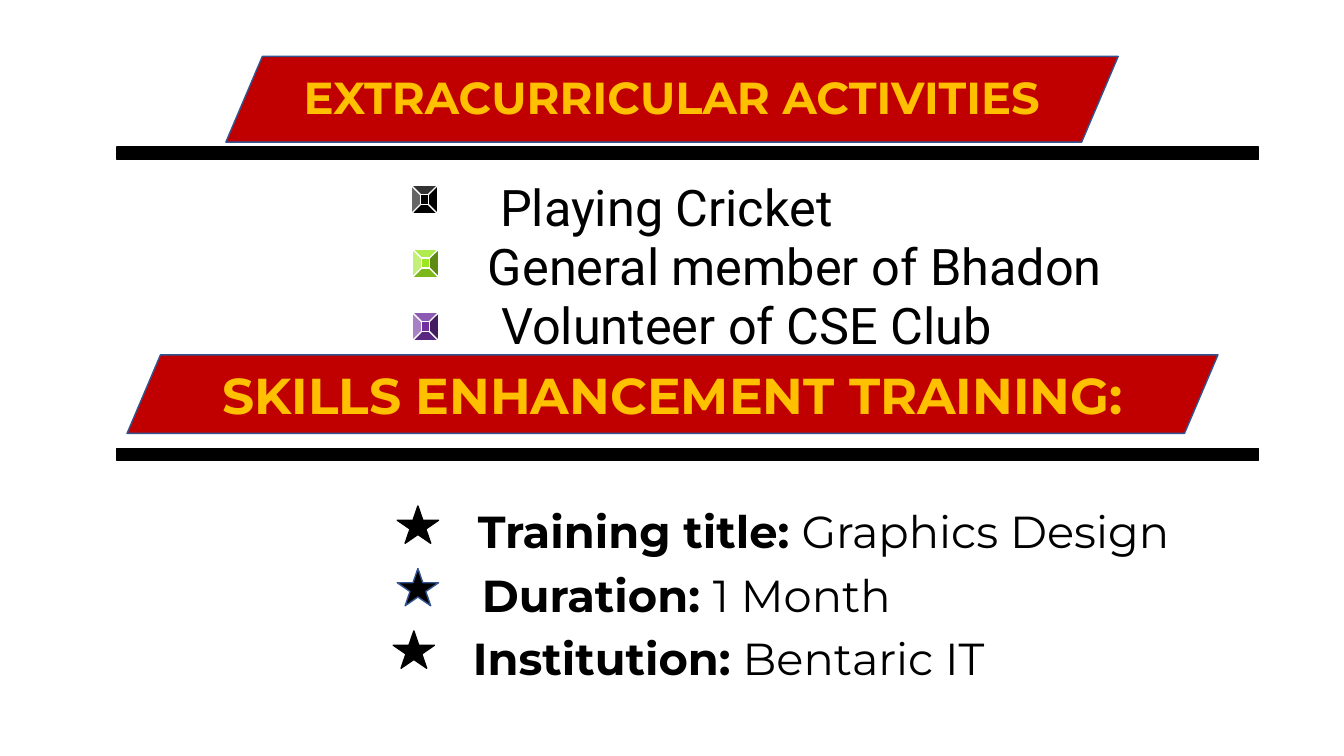
from pptx import Presentation
from pptx.dml.color import RGBColor
from pptx.enum.shapes import MSO_SHAPE
from pptx.enum.text import MSO_ANCHOR, PP_ALIGN
from pptx.util import Inches, Pt

COLORS = {"red": "C00000", "gold": "FFC000", "black": "000000", "white": "FFFFFF",
          "navy": "325491", "green": "9CE721", "purple": "7030A0"}


def color(name):
    return RGBColor.from_string(COLORS[name])


def add_figure(page, kind, left, top, width, height, fill, line, adjust=None):
    figure = page.shapes.add_shape(kind, Inches(left), Inches(top), Inches(width), Inches(height))
    figure.shadow.inherit = False
    figure.fill.solid()
    figure.fill.fore_color.rgb = color(fill)
    figure.line.color.rgb = color(line)
    figure.line.width = Pt(1)
    if adjust is not None:
        figure.adjustments[0] = adjust
    return figure


def style_span(span, font, size, fill, bold):
    span.font.name = font
    span.font.size = Pt(size)
    span.font.bold = bold
    span.font.color.rgb = color(fill)


def add_banner(page, left, top, width, height, title, size, bottom_inset):
    banner = add_figure(page, MSO_SHAPE.PARALLELOGRAM, left, top, width, height,
                        "red", "navy", 0.426)
    frame = banner.text_frame
    frame.text = title
    frame.word_wrap = False
    frame.vertical_anchor = MSO_ANCHOR.MIDDLE
    frame.margin_top = 0
    frame.margin_bottom = Inches(bottom_inset)
    para = frame.paragraphs[0]
    para.alignment = PP_ALIGN.CENTER
    style_span(para.runs[0], "Montserrat", size, "gold", True)


def add_rule(page, top):
    add_figure(page, MSO_SHAPE.RECTANGLE, 1.16, top, 11.32, 0.12, "black", "black")


def add_lines(page, left, top, lines, font, size, pitch):
    """Each line is (indent, [(wording, bold), ...])."""
    box = page.shapes.add_textbox(Inches(left), Inches(top), Inches(8), Pt(pitch * len(lines)))
    frame = box.text_frame
    frame.word_wrap = True
    frame.margin_left = frame.margin_right = frame.margin_top = frame.margin_bottom = 0
    for index, (indent, parts) in enumerate(lines):
        para = frame.add_paragraph() if index else frame.paragraphs[0]
        para.line_spacing = Pt(pitch)
        para._p.get_or_add_pPr().set("marL", str(Inches(indent)))
        for wording, bold in parts:
            span = para.add_run()
            span.text = wording
            style_span(span, font, size, "black", bold)


def main():
    deck = Presentation()
    deck.slide_width, deck.slide_height = Inches(13.33), Inches(7.5)
    page = deck.slides.add_slide(deck.slide_layouts[6])

    # Section banners and rules
    add_banner(page, 1.26, 3.52, 10.82, 0.78, "SKILLS ENHANCEMENT TRAINING:", 36, 0)
    add_banner(page, 2.24, 0.56, 8.85, 0.85, "EXTRACURRICULAR ACTIVITIES", 32, 0.05)
    for top in (1.46, 4.45):
        add_rule(page, top)

    # Activities with bevel markers
    add_lines(page, 4.84, 1.76, [
        (0.12, [("Playing Cricket", False)]),
        (0, [("General member of Bhadon", False)]),
        (0.13, [("Volunteer of CSE Club", False)]),
    ], "Roboto", 36, 42.1)
    for row, (left, fill) in enumerate([(4.08, "black"), (4.09, "green"), (4.09, "purple")]):
        add_figure(page, MSO_SHAPE.BEVEL, left, 1.84 + 0.63 * row, 0.26, 0.28,
                   fill, "white", 0.347)

    # Training details with star markers
    add_lines(page, 4.69, 4.9, [
        (0.05, [("Training title:", True), (" Graphics Design", False)]),
        (0.09, [("Duration: ", True), ("1 Month", False)]),
        (0, [("Institution:", True), (" Bentaric IT", False)]),
    ], "Montserrat", 32, 45.4)
    for row, (left, line) in enumerate([(3.94, "black"), (3.94, "navy"), (3.9, "black")]):
        add_figure(page, MSO_SHAPE.STAR_5_POINT, left, 5.02 + 0.62 * row, 0.41, 0.37,
                   "black", line)

    deck.save("out.pptx")


if __name__ == "__main__":
    main()
